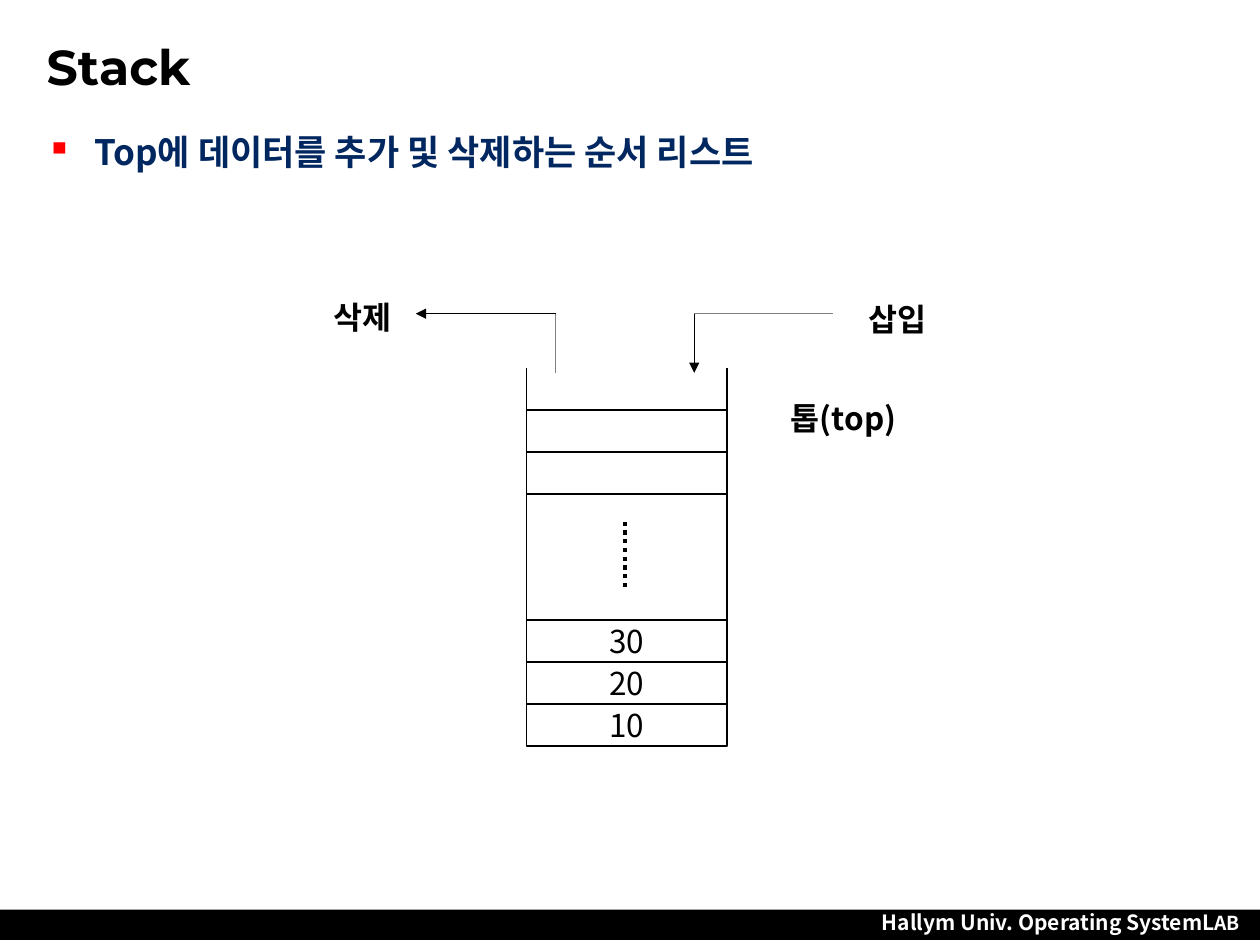
from dataclasses import dataclass

from lxml import etree
from pptx import Presentation
from pptx.dml.color import RGBColor
from pptx.enum import dml, shapes, text
from pptx.oxml.ns import qn
from pptx.util import Inches, Pt


@dataclass(frozen=True)
class Theme:
    black: str = "000000"
    white: str = "FFFFFF"
    gray: str = "808080"
    navy: str = "002760"
    red: str = "FF0000"
    heading_font: str = "Montserrat"
    body_font: str = "Noto Sans CJK KR"
    title_size: int = 28
    body_size: int = 20
    label_size: int = 18
    footer_size: int = 12
    footer_small: int = 11
    thin: float = 0.75
    dotted: float = 2.5


theme = Theme()


def write(frame, *runs, font=theme.body_font, size=theme.label_size, color=theme.black,
          bold=True, align=text.PP_ALIGN.CENTER, anchor=text.MSO_ANCHOR.TOP, wrap=True):
    """Fill a text frame with one paragraph; a run is a string or a (string, size) pair."""
    frame.word_wrap = wrap
    frame.auto_size = text.MSO_AUTO_SIZE.NONE
    frame.vertical_anchor = anchor
    paragraph = frame.paragraphs[0]
    paragraph.alignment = align
    for part in runs:
        words, points = part if isinstance(part, tuple) else (part, size)
        run = paragraph.add_run()
        run.text = words
        run.font.name = font
        run.font.size = Pt(points)
        run.font.bold = bold
        run.font.color.rgb = RGBColor.from_string(color)
        etree.SubElement(run.font._element, qn("a:ea"), typeface=font)
    return paragraph


def draw_line(start, end, color=theme.black, width=theme.thin, dash=None, arrow=False):
    line = slide.shapes.add_connector(
        shapes.MSO_CONNECTOR.STRAIGHT, *(Inches(v) for v in (*start, *end)))
    line.line.color.rgb = RGBColor.from_string(color)
    line.line.width = Pt(width)
    if dash:
        line.line.dash_style = dash
    if arrow:
        etree.SubElement(line.line._get_or_add_ln(), qn("a:tailEnd"), type="triangle")
    etree.SubElement(line._element.spPr, qn("a:effectLst"))


prs = Presentation()
prs.slide_width, prs.slide_height = Inches(10), Inches(7.5)
slide = prs.slides.add_slide(prs.slide_layouts[5])

# Footer
footer_bar = slide.shapes.add_shape(
    shapes.MSO_SHAPE.RECTANGLE, Inches(0), Inches(7.22), Inches(10), Inches(0.24))
footer_bar.shadow.inherit = False
footer_bar.fill.solid()
footer_bar.fill.fore_color.rgb = RGBColor.from_string(theme.black)
footer_bar.line.fill.background()
footer = slide.shapes.add_textbox(Inches(6.88), Inches(7.17), Inches(3.08), Inches(0.3))
write(footer.text_frame, "Hallym Univ. Operating", (" ", theme.footer_small), "SystemL",
      ("AB", theme.footer_small), size=theme.footer_size, color=theme.white, wrap=False)

# Title and definition
title = slide.shapes.title
title.left, title.top, title.width, title.height = (
    Inches(v) for v in (0.27, 0.13, 9.45, 0.79))
write(title.text_frame, "Stack", font=theme.heading_font, size=theme.title_size,
      align=text.PP_ALIGN.LEFT, anchor=text.MSO_ANCHOR.MIDDLE)

definition = slide.shapes.add_textbox(Inches(0.27), Inches(0.99), Inches(9.45), Inches(5.9))
bullet = write(definition.text_frame, "Top에 데이터를 추가 및 삭제하는 순서 리스트",
               size=theme.body_size, color=theme.navy, align=text.PP_ALIGN.LEFT)
bullet_format = bullet._p.get_or_add_pPr()
bullet_format.set("marL", str(Inches(0.38)))
bullet_format.set("indent", str(-Inches(0.38)))
bullet_color = etree.SubElement(bullet_format, qn("a:buClr"))
etree.SubElement(bullet_color, qn("a:srgbClr"), val=theme.red)
etree.SubElement(bullet_format, qn("a:buChar"), char="▪")

# Stack: an open container nine cells high
stack_left, stack_right, stack_top, stack_bottom = 4.18, 5.77, 2.92, 5.92
cell_height = (stack_bottom - stack_top) / 9
corners = [(stack_left, stack_top), (stack_left, stack_bottom),
           (stack_right, stack_bottom), (stack_right, stack_top)]
for start, end in zip(corners, corners[1:]):
    draw_line(start, end)

for row, value in [(2, ""), (1, ""), (6, "30"), (7, "20"), (8, "10")]:
    cell = slide.shapes.add_shape(
        shapes.MSO_SHAPE.RECTANGLE, Inches(stack_left), Inches(stack_top + row * cell_height),
        Inches(stack_right - stack_left), Inches(cell_height))
    cell.shadow.inherit = False
    cell.fill.solid()
    cell.fill.fore_color.rgb = RGBColor.from_string(theme.white)
    cell.line.color.rgb = RGBColor.from_string(theme.black)
    cell.line.width = Pt(theme.thin)
    if value:
        write(cell.text_frame, value, bold=False, anchor=text.MSO_ANCHOR.MIDDLE, wrap=False)
draw_line((4.96, 4.14), (4.96, 4.69), width=theme.dotted, dash=dml.MSO_LINE.ROUND_DOT)

# Insert and delete paths
path_y, mouth_y, insert_x, delete_x = 2.49, 2.96, 5.51, 4.41
draw_line((6.61, path_y), (insert_x, path_y), color=theme.gray)
draw_line((insert_x, path_y), (insert_x, mouth_y), arrow=True)
draw_line((delete_x, path_y), (3.3, path_y), arrow=True)
draw_line((delete_x, path_y), (delete_x, mouth_y), color=theme.gray)

for caption, left, top, width in [
        ("삭제", 2.52, 2.32, 0.71), ("삽입", 6.77, 2.33, 0.71), ("톱(top)", 6.06, 3.12, 1.27)]:
    label = slide.shapes.add_textbox(Inches(left), Inches(top), Inches(width), Inches(0.4))
    write(label.text_frame, caption)

prs.save("out.pptx")
